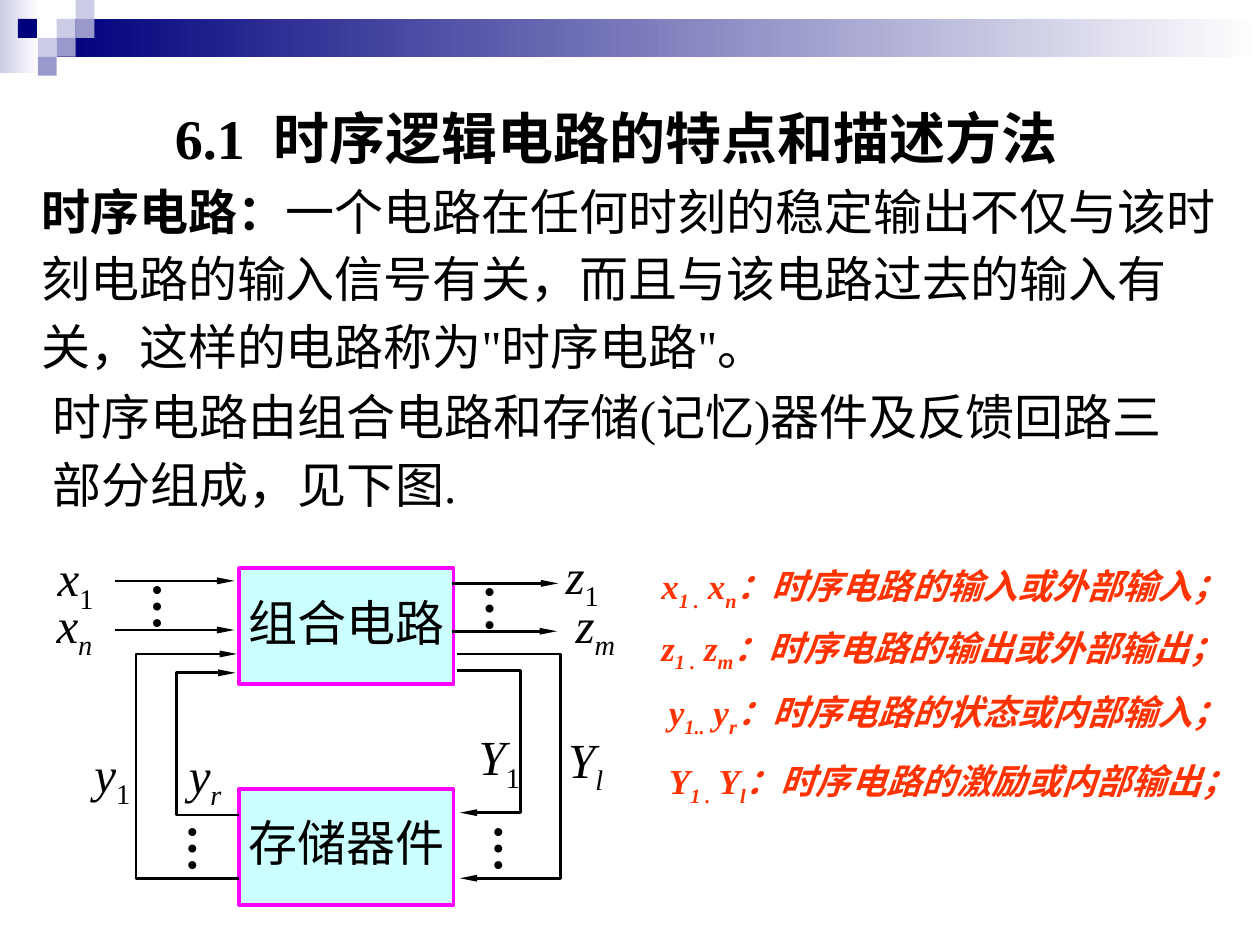
from lxml import etree
from pptx import Presentation
from pptx import util as u
from pptx.dml.color import RGBColor
from pptx.enum import shapes, text
from pptx.oxml.ns import qn

BLACK = RGBColor(0x00, 0x00, 0x00)
WHITE = RGBColor(0xFF, 0xFF, 0xFF)
NAVY = RGBColor(0x00, 0x00, 0x7D)
LAVENDER = RGBColor(0xCC, 0xCC, 0xE6)
PERIWINKLE = RGBColor(0x99, 0x99, 0xCC)
CYAN = RGBColor(0xCC, 0xFF, 0xFF)
MAGENTA = RGBColor(0xFF, 0x00, 0xFF)
ORANGE = RGBColor(0xFF, 0x33, 0x00)

deck = Presentation()
deck.slide_width, deck.slide_height = u.Inches(10), u.Inches(7.5)
COL, ROW = deck.slide_width / 100, deck.slide_height / 75
slide = deck.slides.add_slide(deck.slide_layouts[6])


def area(left, top, width, height):
    return [round(n) for n in (left * COL, top * ROW, width * COL, height * ROW)]


def write(place, runs, size=28, color=BLACK, wrap=False, spacing=None, bold=None, italic=None):
    caption = slide.shapes.add_textbox(*area(*place))
    frame = caption.text_frame
    frame.word_wrap = wrap
    frame.auto_size = text.MSO_AUTO_SIZE.SHAPE_TO_FIT_TEXT
    paragraph = frame.paragraphs[0]
    paragraph.line_spacing = spacing
    paragraph._p.get_or_add_pPr().set("hangingPunct", "0")
    font = paragraph.font
    font.name, font.size, font.bold, font.italic = "Times New Roman", u.Pt(size), bold, italic
    font.color.rgb = color
    for wording, style in runs:
        run = paragraph.add_run()
        run.text = wording
        if "b" in style:
            run.font.bold = True
        if "i" in style:
            run.font.italic = True
        if "_" in style:
            run.font._element.set("baseline", "-25000")
    return frame


for place, shade in [((0, 0, 3.1, 5.8), LAVENDER), ((4.5, 1.5, 95.5, 3), NAVY)]:
    band = slide.shapes.add_shape(shapes.MSO_SHAPE.RECTANGLE, *area(*place))
    band.shadow.inherit = False
    band.fill.gradient()
    band.fill.gradient_angle = 180
    for stop, color in zip(band.fill.gradient_stops, (WHITE, shade)):
        stop.color.rgb = color
    band.line.fill.background()

TILE = 1.5
for column, row, color in [
    (3, 1, LAVENDER), (4, 0, LAVENDER), (4, 1, PERIWINKLE), (2, 2, LAVENDER),
    (0.95, 1, NAVY), (3, 2, PERIWINKLE), (2, 3, PERIWINKLE),
]:
    tile = slide.shapes.add_shape(
        shapes.MSO_SHAPE.RECTANGLE, *area(column * TILE, row * TILE, TILE, TILE))
    tile.shadow.inherit = False
    tile.fill.solid()
    tile.fill.fore_color.rgb = color
    tile.line.fill.background()

write((12.9, 7.7, 73.6, 6.4), [("6.1  时序逻辑电路的特点和描述方法", "")], size=32, bold=True)
write((2.3, 13.2, 96.4, 17.1), [
    ("时序电路：", "b"),
    ("一个电路在任何时刻的稳定输出不仅与该时刻电路的输入信号有关，"
     "而且与该电路过去的输入有关，这样的电路称为\"时序电路\"。", ""),
], wrap=True, spacing=1.15)
write((3.2, 29.5, 91.2, 11.8),
      [("时序电路由组合电路和存储(记忆)器件及反馈回路三部分组成，见下图.", "")],
      wrap=True, spacing=1.15)

for top, block_name in [(45.1, "组合电路"), (62.6, "存储器件")]:
    block = slide.shapes.add_shape(shapes.MSO_SHAPE.RECTANGLE, *area(19, top, 17, 9.2))
    block.shadow.inherit = False
    block.fill.solid()
    block.fill.fore_color.rgb = CYAN
    block.line.color.rgb = MAGENTA
    block.line.width = u.Pt(2.25)
    write((18.75, top + 1.95, 18.4, 5.2), [(block_name, "")], wrap=True, spacing=0.9)

wires = []
for start, end, y in [(9.1, 18.6, 46.1), (9.1, 18.6, 50), (35.9, 44.3, 46.3), (35.9, 44.2, 50.1)]:
    left, level, right, _ = area(start, y, end, y)
    wires.append(slide.shapes.add_connector(
        shapes.MSO_CONNECTOR.STRAIGHT, left, level, right, level))

for start, turn, end, first, last in [
    (19, 14, 18.7, 64.7, 53.4), (19, 10.8, 18.8, 69.7, 51.9),
    (36.3, 41.3, 36.5, 53.2, 64.5), (36.3, 44.5, 36.5, 51.9, 69.7),
]:
    corners = [(round(x * COL), round(y * ROW))
               for x, y in [(start, first), (turn, first), (turn, last), (end, last)]]
    route = slide.shapes.build_freeform(*corners[0])
    route.add_line_segments(corners[1:], close=False)
    feedback = route.convert_to_shape()
    feedback.fill.background()
    wires.append(feedback)

for wire in wires:
    wire.line.color.rgb = BLACK
    wire.line.width = u.Pt(1.5)
    properties = wire._element.spPr
    etree.SubElement(properties.find(qn("a:ln")), qn("a:tailEnd"), type="triangle", w="sm", len="lg")
    etree.SubElement(properties, qn("a:effectLst"))

for left, top in [(10, 45.2), (36.4, 45.4), (12.8, 64.4), (37.1, 64.4)]:
    dots = write((left, top, 6.6, 4.9), [("…", "")], bold=True)
    dots.margin_left = dots.margin_right = u.Inches(0.05)
    dots.margin_top = dots.margin_bottom = u.Inches(0.1)
    dots._txBody.bodyPr.set("vert", "eaVert")

for left, top, width, symbol, index in [
    (3.6, 43, 5.2, "x", "1"), (3.5, 46.7, 5.2, "x", "n"),
    (43.9, 42.8, 5, "z", "1"), (44.7, 46.7, 5.5, "z", "m"),
    (6.5, 58.5, 5.2, "y", "1"), (14, 58.6, 5, "y", "r"),
    (37, 57.2, 5.7, "Y", "1"), (44.1, 57.4, 5.2, "Y", "l"),
]:
    write((left, top, width, 6.3),
          [(symbol, "i"), (index, "_" if index == "1" else "i_")])

for left, top, width, symbol, first, last, meaning in [
    (51.5, 44.3, 48, "x", "1 .", "n", "输入或外部输入"),
    (51.5, 49.2, 47.7, "z", "1 .", "m", "输出或外部输出"),
    (52.1, 54.3, 47.4, "y", "1..", "r", "状态或内部输入"),
    (52.1, 59.8, 47.9, "Y", "1 .", "l", "激励或内部输出"),
]:
    write((left, top, width, 4.8), [
        (symbol, ""), (first, "_"), (f" {symbol}", ""), (last, "_"),
        (f"：时序电路的{meaning}；", ""),
    ], size=20, color=ORANGE, bold=True, italic=True)

deck.save("out.pptx")
